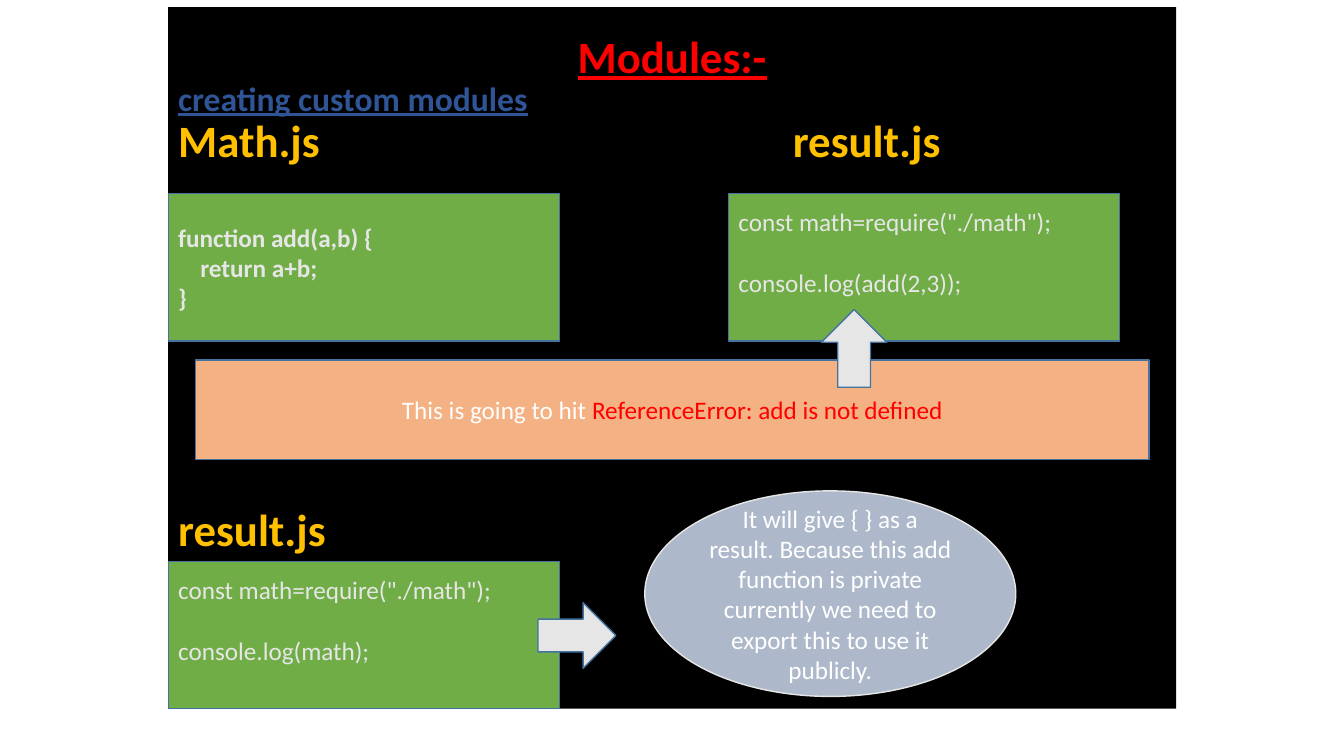
import pptx
import pptx.util
import pptx.dml.color
import pptx.enum.shapes
import pptx.enum.text

Cm, Pt = pptx.util.Cm, pptx.util.Pt
SHAPE = pptx.enum.shapes.MSO_SHAPE
ALIGN = pptx.enum.text.PP_ALIGN
ANCHOR = pptx.enum.text.MSO_ANCHOR

COLORS = {
    "black": "000000", "white": "FFFFFF", "red": "FF0000", "navy": "2F5597",
    "gold": "FFC000", "green": "70AD47", "peach": "F4B183", "mist": "ADB9CA",
    "pale": "E7E6E6", "edge": "43739E",
}
PANEL = (4.24, 0.18, 25.4, 17.68)
CODE = (9.86, 3.71)
LINE = 0.77  # height of one line of code


def tint(name):
    return pptx.dml.color.RGBColor.from_string(COLORS[name])


def style(run, size, color, bold=False, under=False):
    font = run.font
    font.name = "Calibri"
    font.size = Pt(size)
    font.bold = bold
    font.underline = under
    font.color.rgb = tint(color)


def place(box):
    return [Cm(n) for n in box]


def block(slide, kind, box, fill, edge="edge"):
    shape = slide.shapes.add_shape(kind, *place(box))
    shape.shadow.inherit = False
    shape.fill.solid()
    shape.fill.fore_color.rgb = tint(fill)
    shape.line.color.rgb = tint(edge)
    shape.line.width = Pt(1)
    shape.text_frame.vertical_anchor = ANCHOR.MIDDLE
    return shape


def label(slide, box, text, size, color, under=False):
    frame = slide.shapes.add_textbox(*place(box)).text_frame
    frame.word_wrap = True
    frame.vertical_anchor = ANCHOR.MIDDLE
    frame.text = text
    style(frame.paragraphs[0].runs[0], size, color, True, under)


def panel(slide, box):
    """Black title area with the topic below the title."""
    title = slide.shapes.title
    title.left, title.top, title.width, title.height = place(box)
    title.fill.solid()
    title.fill.fore_color.rgb = tint("black")
    frame = title.text_frame
    frame.text = "Modules:-"
    frame.auto_size = pptx.enum.text.MSO_AUTO_SIZE.NONE
    frame.vertical_anchor = ANCHOR.TOP
    frame.margin_top = Cm(0.55)
    para = frame.paragraphs[0]
    para.alignment = ALIGN.CENTER
    style(para.runs[0], 32, "red", True, True)
    left, top = box[:2]
    label(slide, (left, top + 1.69, 14, 1.2), "creating custom modules",
          24, "navy", True)


def code(slide, box, name, lines, gap=1.35, shift=0.0):
    """Code box with its file name, centred gap cm above it."""
    left, top, width, _ = box
    label(slide, (left + shift, top - gap - 0.75, width, 1.5), name, 32, "gold")
    frame = block(slide, SHAPE.RECTANGLE, box, "green").text_frame
    frame.word_wrap = True
    frame.text = "\n".join(lines)
    for para in frame.paragraphs:
        para.alignment = ALIGN.LEFT
        style(para.runs[0], 18, "pale")
    return frame


def define(slide, box):
    lines = ["function add(a,b) {", "return a+b;", "}"]
    frame = code(slide, box, "Math.js", lines)
    for para in frame.paragraphs:
        para.runs[0].font.bold = True
    body = frame.paragraphs[1]._p.get_or_add_pPr()
    body.set("marL", str(Cm(0.56)))


def call(slide, box, log, **spots):
    lines = ['const math=require("./math");', log]
    frame = code(slide, box, "result.js", lines, **spots)
    frame.margin_bottom = Cm(0.13 + LINE)
    frame.paragraphs[1].space_before = Cm(LINE)


def note(slide, kind, box, fill, edge, parts):
    frame = block(slide, kind, box, fill, edge).text_frame
    frame.word_wrap = True
    para = frame.paragraphs[0]
    para.alignment = ALIGN.CENTER
    for text, color in parts:
        run = para.add_run()
        run.text = text
        style(run, 18, color)


def main():
    deck = pptx.Presentation()
    deck.slide_width, deck.slide_height = Cm(33.87), Cm(19.05)
    slide = deck.slides.add_slide(deck.slide_layouts[5])
    left, top = PANEL[:2]

    def spot(x, y, size):
        return (left + x, top + y, *size)

    panel(slide, PANEL)
    define(slide, spot(0, 4.7, CODE))
    call(slide, spot(14.12, 4.7, CODE), "console.log(add(2,3));", shift=1.37)
    note(slide, SHAPE.RECTANGLE, spot(0.69, 8.89, (24.03, 2.51)), "peach", "edge",
         [("This is going to hit ", "white"),
          ("ReferenceError: add is not defined", "red")])
    block(slide, SHAPE.UP_ARROW, spot(16.46, 7.62, (1.65, 1.96)), "pale")
    call(slide, spot(0, 13.97, CODE), "console.log(math);", gap=0.84)
    block(slide, SHAPE.RIGHT_ARROW, spot(9.32, 15.01, (1.96, 1.65)), "pale")
    note(slide, SHAPE.OVAL, spot(12.01, 12.19, (9.35, 5.18)), "mist", "pale",
         [("It will give { } as a result. Because this add function is private "
           "currently we need to export this to use it publicly.", "white")])
    deck.save("out.pptx")


if __name__ == "__main__":
    main()
